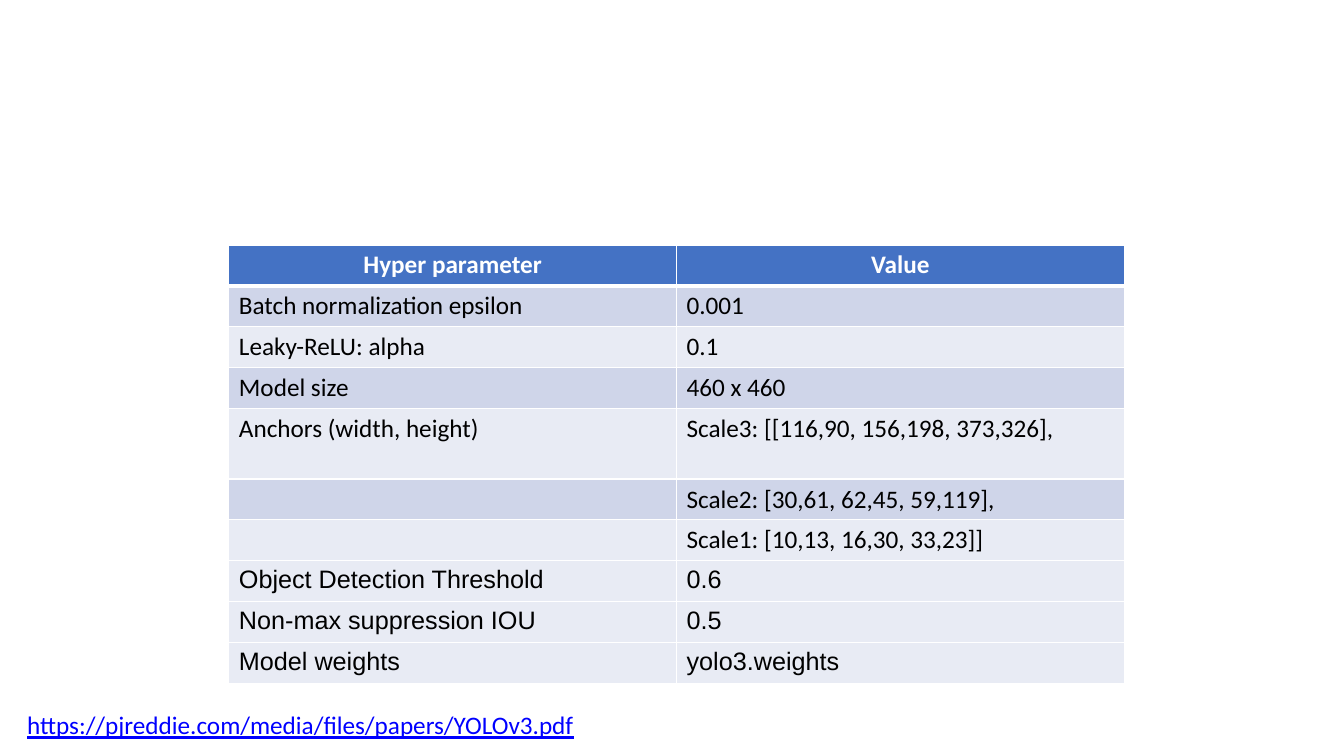
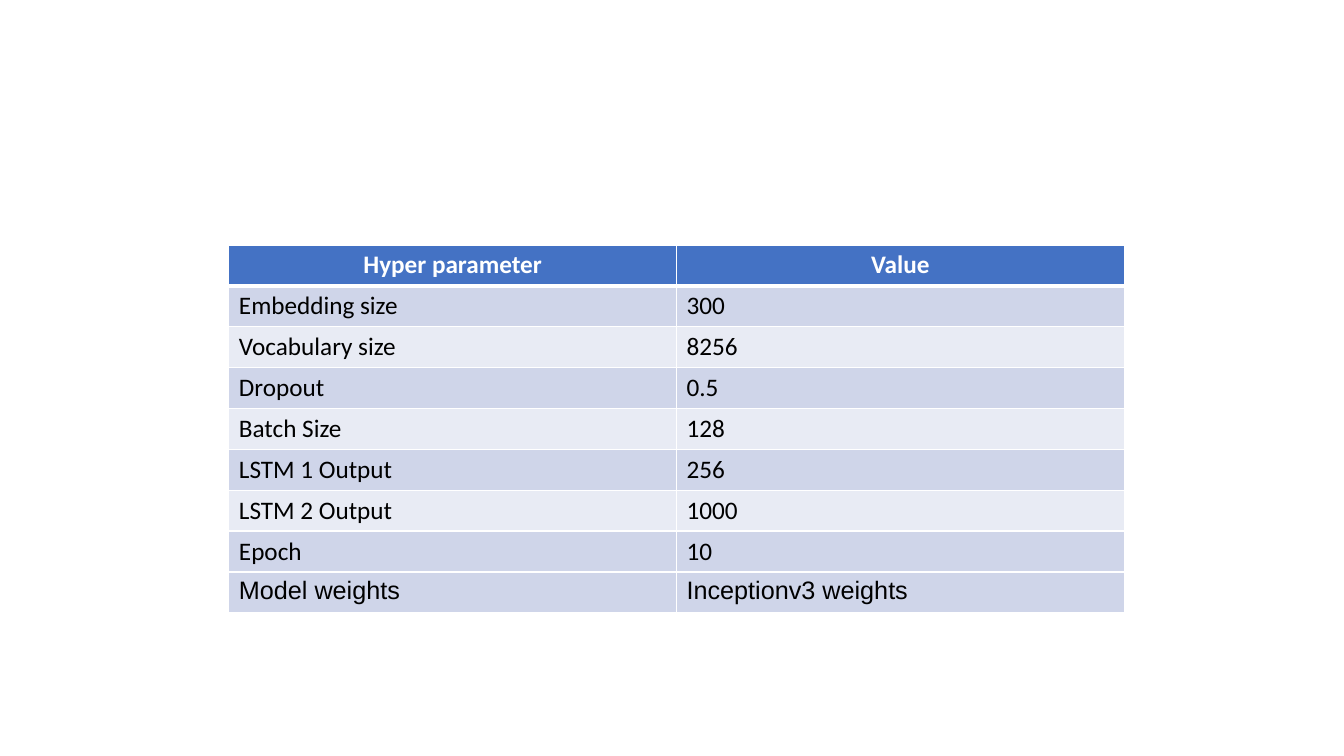
"""Build two slides of model hyperparameter tables."""

from dataclasses import dataclass, field

from lxml import etree
from pptx import Presentation
from pptx import util as u
from pptx.dml.color import RGBColor
from pptx.enum import text
from pptx.oxml import ns

COLORS = {
    "header": "4472C4",
    "dark_band": "CFD5E9",
    "light_band": "E8EBF4",
    "white": "FFFFFF",
    "black": "000000",
    "link": "0000FF",
}
BODY_FONT = "Calibri"
EXTRA_FONT = "Arial"
FONT_SIZE = u.Pt(18)
ROW_HEIGHT = u.Inches(3.65) // 9
TALL_ROW_HEIGHT = u.Inches(0.7)
COLUMN_WIDTH = u.Inches(4.44)
GRID_WIDTH = u.Pt(0.96)
HEADER_RULE_WIDTH = u.Pt(3)


@dataclass(frozen=True)
class Row:
    name: str
    value: str
    fill: str
    font: str = BODY_FONT
    color: str = "black"
    height: int = ROW_HEIGHT


@dataclass(frozen=True)
class ParameterSlide:
    banded: list[tuple[str, str]]
    extra: list[tuple[str, str]]
    extra_fill: str
    tall_rows: set[str] = field(default_factory=set)
    source: str = ""

    def rows(self) -> list[Row]:
        bands = ("dark_band", "light_band")
        return [
            Row("Hyper parameter", "Value", "header", color="white"),
            *(
                Row(name, value, bands[index % 2],
                    height=TALL_ROW_HEIGHT if name in self.tall_rows else ROW_HEIGHT)
                for index, (name, value) in enumerate(self.banded)
            ),
            *(Row(name, value, self.extra_fill, EXTRA_FONT) for name, value in self.extra),
        ]


SLIDES = [
    ParameterSlide(
        banded=[
            ("Batch normalization epsilon", "0.001"),
            ("Leaky-ReLU: alpha", "0.1"),
            ("Model size", "460 x 460"),
            ("Anchors (width, height)", "Scale3: [[116,90, 156,198, 373,326],"),
            ("", "Scale2: [30,61, 62,45, 59,119],"),
            ("", "Scale1: [10,13, 16,30, 33,23]]"),
        ],
        extra=[
            ("Object Detection Threshold", "0.6"),
            ("Non-max suppression IOU", "0.5"),
            ("Model weights", "yolo3.weights"),
        ],
        extra_fill="light_band",
        tall_rows={"Anchors (width, height)"},
        source="https://pjreddie.com/media/files/papers/YOLOv3.pdf",
    ),
    ParameterSlide(
        banded=[
            ("Embedding size", "300"),
            ("Vocabulary size", "8256"),
            ("Dropout", "0.5"),
            ("Batch Size", "128"),
            ("LSTM 1 Output", "256"),
            ("LSTM 2 Output", "1000"),
            ("Epoch", "10"),
        ],
        extra=[("Model weights", "Inceptionv3 weights")],
        extra_fill="dark_band",
    ),
]


def rgb(name: str) -> RGBColor:
    return RGBColor.from_string(COLORS[name])


def style_paragraph(paragraph, color: str, font: str = BODY_FONT) -> None:
    paragraph.font.name = font
    paragraph.font.size = FONT_SIZE
    paragraph.font.color.rgb = rgb(color)


def add_borders(cell, top: int, bottom: int) -> None:
    properties = cell._tc.get_or_add_tcPr()
    widths = {"lnL": GRID_WIDTH, "lnR": GRID_WIDTH, "lnT": top, "lnB": bottom}
    for index, (tag, width) in enumerate(widths.items()):
        line = etree.Element(ns.qn(f"a:{tag}"), w=str(int(width)))
        fill = etree.SubElement(line, ns.qn("a:solidFill"))
        etree.SubElement(fill, ns.qn("a:srgbClr"), val=COLORS["white"])
        properties.insert(index, line)


def add_parameter_table(slide, rows: list[Row]) -> None:
    table = slide.shapes.add_table(
        len(rows), 2, u.Inches(2.27), u.Inches(2.43),
        2 * COLUMN_WIDTH, sum(row.height for row in rows),
    ).table
    for column in table.columns:
        column.width = COLUMN_WIDTH
    for row_index, row in enumerate(rows):
        is_header = row_index == 0
        table.rows[row_index].height = row.height
        for column_index, content in enumerate((row.name, row.value)):
            cell = table.cell(row_index, column_index)
            cell.text = content
            cell.fill.solid()
            cell.fill.fore_color.rgb = rgb(row.fill)
            add_borders(
                cell,
                top=HEADER_RULE_WIDTH if row_index == 1 else GRID_WIDTH,
                bottom=HEADER_RULE_WIDTH if is_header else GRID_WIDTH,
            )
            paragraph = cell.text_frame.paragraphs[0]
            style_paragraph(paragraph, row.color, row.font)
            paragraph.font.bold = is_header
            if is_header:
                paragraph.alignment = text.PP_ALIGN.CENTER


def add_source(slide, address: str) -> None:
    box = slide.shapes.add_textbox(
        u.Inches(0.17), u.Inches(6.99), u.Inches(5.62), u.Inches(0.4)
    )
    box.text_frame.word_wrap = False
    paragraph = box.text_frame.paragraphs[0]
    paragraph.text = address
    style_paragraph(paragraph, "link")
    paragraph.font.underline = True


def main() -> None:
    presentation = Presentation()
    presentation.slide_width = u.Inches(13.33)
    presentation.slide_height = u.Inches(7.5)
    for content in SLIDES:
        slide = presentation.slides.add_slide(presentation.slide_layouts[6])
        if content.source:
            add_source(slide, content.source)
        add_parameter_table(slide, content.rows())
    presentation.save("out.pptx")


if __name__ == "__main__":
    main()
